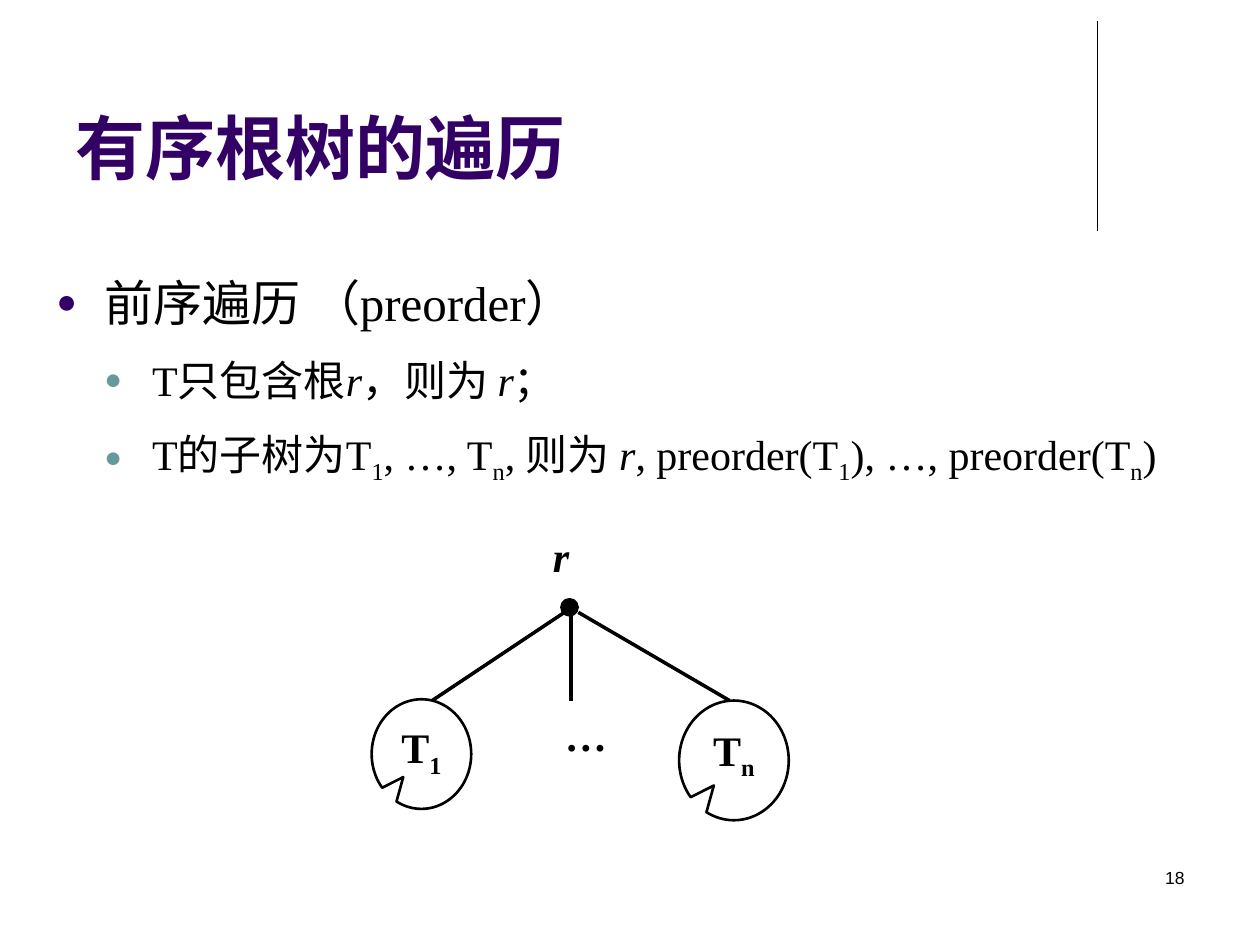
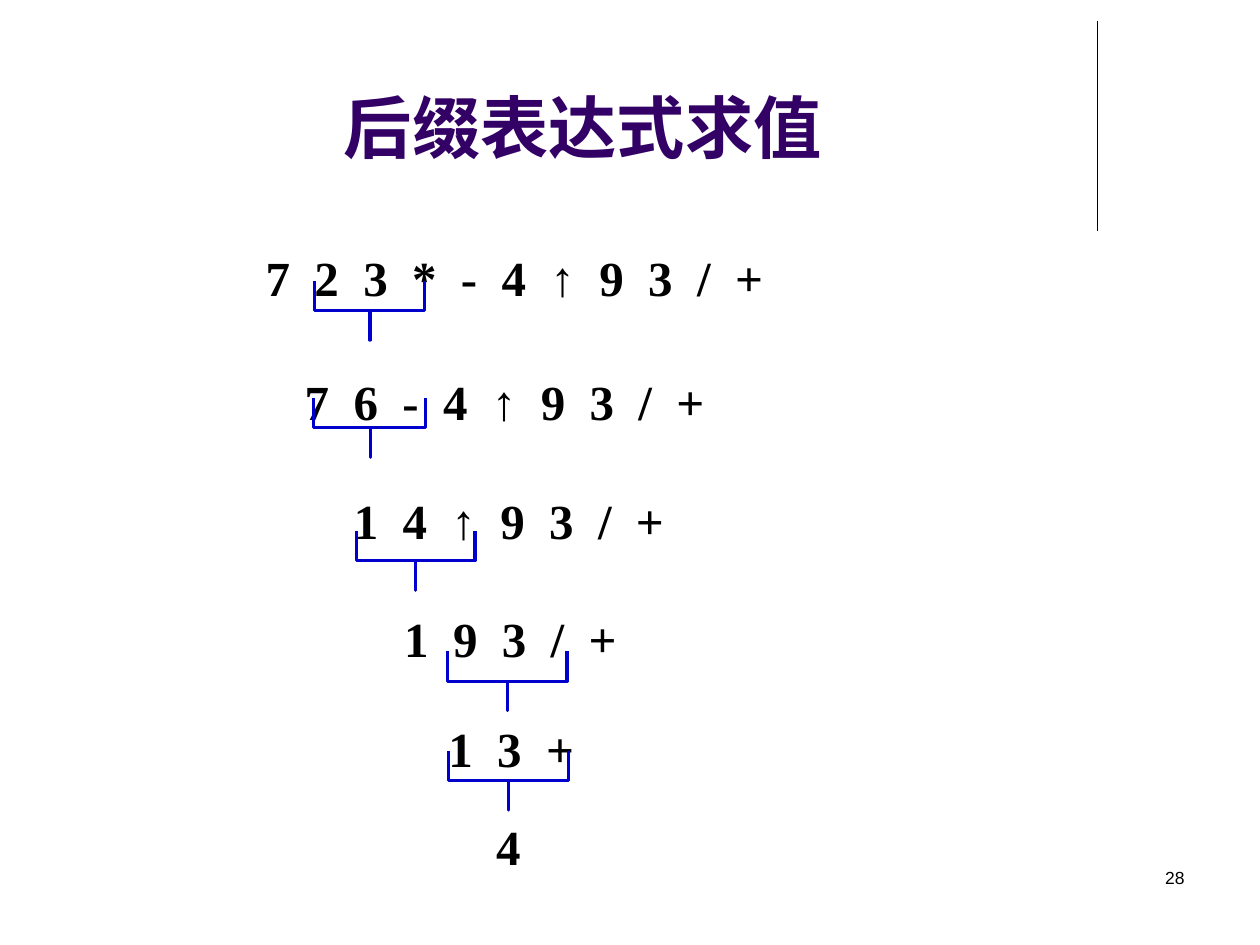
from dataclasses import dataclass

from lxml.etree import SubElement
from pptx import Presentation
from pptx.dml.color import RGBColor
from pptx.enum.shapes import MSO_CONNECTOR as Connector, MSO_SHAPE as Shape
from pptx.enum.text import MSO_ANCHOR as Anchor, MSO_AUTO_SIZE as AutoSize, PP_ALIGN as Align
from pptx.oxml.ns import qn
from pptx.util import Inches, Pt

# Grid: 100 columns by 75 rows
WIDTH, HEIGHT = Inches(10), Inches(7.5)
COLUMN, ROW = WIDTH / 100, HEIGHT / 75

BLACK, PURPLE, TEAL, BLUE = "000000", "330066", "669999", "0000CC"
SERIF, SANS = "Times New Roman", "Arial"


@dataclass
class Box:
    left: float
    top: float
    width: float
    height: float

    def inside(self, left, top, width, height):
        return Box(self.left + left, self.top + top, width, height)

    def lengths(self):
        return (round(self.left * COLUMN), round(self.top * ROW),
                round(self.width * COLUMN), round(self.height * ROW))


def color(hex_string):
    return RGBColor.from_string(hex_string)


def add_run(paragraph, text, size, font=SERIF, fill=BLACK, bold=False, italic=False, sub=False):
    run = paragraph.add_run()
    run.text = text
    run.font.size, run.font.name = Pt(size), font
    run.font.bold, run.font.italic = bold, italic
    run.font.color.rgb = color(fill)
    if sub:
        run.font._element.set("baseline", "-25000")
    return run


def add_text_box(slide, box):
    frame = slide.shapes.add_textbox(*box.lengths()).text_frame
    frame.word_wrap = True
    return frame


def add_line(slide, box, start, end, weight):
    (x1, y1), (x2, y2) = (box.inside(*point, 0, 0).lengths()[:2] for point in (start, end))
    line = slide.shapes.add_connector(Connector.STRAIGHT, x1, y1, x2, y2)
    line.line.color.rgb, line.line.width = color(BLACK), Pt(weight)
    SubElement(line._element.spPr, qn("a:effectLst"))


def add_outline(slide, kind, box, weight, line=BLACK, fill=None, adjustments=()):
    shape = slide.shapes.add_shape(kind, *box.lengths())
    shape.shadow.inherit = False
    for index, value in enumerate(adjustments):
        shape.adjustments[index] = value
    if fill:
        shape.fill.solid()
        shape.fill.fore_color.rgb = color(fill)
    else:
        shape.fill.background()
    if weight:
        shape.line.color.rgb, shape.line.width = color(line), Pt(weight)
    else:
        shape.line.fill.background()
    return shape


def add_base_slide(presentation, title, box, number, size, font, align):
    """Title, divider line and page number shared by both slides."""
    slide = presentation.slides.add_slide(presentation.slide_layouts[5])
    page = Box(0, 0, 100, 75)
    add_line(slide, page, (87.1, 1.7), (87.1, 18.3), 0.75)

    placeholder = slide.shapes.title
    placeholder.left, placeholder.top, placeholder.width, placeholder.height = box.lengths()
    frame = placeholder.text_frame
    frame.auto_size, frame.vertical_anchor = AutoSize.NONE, Anchor.BOTTOM
    frame.paragraphs[0].alignment = align
    add_run(frame.paragraphs[0], title, size, font, PURPLE, bold=True)

    footer = add_text_box(slide, page.inside(71.7, 68.3, 23.3, 5)).paragraphs[0]
    footer.alignment = Align.RIGHT
    add_run(footer, number, 10, SANS)
    return slide


def add_bullet(paragraph, level, fill):
    paragraph.level = level
    properties = paragraph._p.get_or_add_pPr()
    properties.set("marL", str(Inches(0.38 * (level + 1))))
    properties.set("indent", str(-Inches(0.38)))
    bullet_color = SubElement(properties, qn("a:buClr"))
    SubElement(bullet_color, qn("a:srgbClr"), val=fill)
    SubElement(properties, qn("a:buSzPct"), val="70000")
    SubElement(properties, qn("a:buFont"), typeface=SANS)
    SubElement(properties, qn("a:buChar"), char="●")


def add_definition(slide, box):
    """Bulleted definition of the preorder traversal."""
    plain, italic, sub = {}, {"italic": True}, {"sub": True}
    lines = [
        (0, 28, PURPLE, [("前序遍历 （preorder）", plain)]),
        (1, 24, TEAL, [("T只包含根", plain), ("r", italic), ("，则为 ", plain),
                       ("r", italic), ("；", plain)]),
        (1, 24, TEAL, [("T的子树为T", plain), ("1", sub), (", …, T", plain), ("n", sub),
                       (", 则为 ", plain), ("r", italic), (", preorder(T", plain), ("1", sub),
                       ("), …, preorder(T", plain), ("n", sub), (")", plain)]),
    ]
    frame = add_text_box(slide, box)
    for index, (level, size, fill, runs) in enumerate(lines):
        paragraph = frame.add_paragraph() if index else frame.paragraphs[0]
        paragraph.line_spacing, paragraph.space_before = 1.2, Pt(0.3 * size)
        add_bullet(paragraph, level, fill)
        for text, style in runs:
            add_run(paragraph, text, size, **style)


def add_subtree(slide, box, name, index, weight):
    bubble = add_outline(slide, Shape.OVAL_CALLOUT, box, weight, adjustments=(-0.183, 0.21))
    frame = bubble.text_frame
    frame.word_wrap, frame.vertical_anchor = False, Anchor.TOP
    paragraph = frame.paragraphs[0]
    paragraph.alignment = Align.CENTER
    add_run(paragraph, name, 24, bold=True)
    if index:
        add_run(paragraph, index, 24, bold=True, sub=True)


def add_tree(slide, box):
    """Root r with edges to the subtrees T1 … Tn."""
    add_outline(slide, Shape.OVAL, box.inside(15.1, 6, 1.2, 1.2), 2, fill=BLACK)
    for start, end in [((15.3, 7), (4.8, 14)), ((16.4, 7), (28.4, 14)), ((15.8, 6.1), (15.8, 14))]:
        add_line(slide, box, start, end, 2)
    root = add_text_box(slide, box.inside(13.4, 0, 5.9, 5.1)).paragraphs[0]
    add_run(root, "r", 24, bold=True, italic=True)
    add_subtree(slide, box.inside(0, 13.9, 7.9, 8.7), "T", "1", 1.5)
    add_subtree(slide, box.inside(24.4, 14, 8.7, 9.5), "T", "n", 1.5)
    add_subtree(slide, box.inside(11.1, 13.2, 11.8, 7.1), "…", "", 0)


def add_step(slide, box, expression, brace):
    """One expression, with a brace under the part evaluated next."""
    paragraph = add_text_box(slide, box).paragraphs[0]
    paragraph.line_spacing, paragraph.space_before = 1.2, Pt(5.6)
    run = add_run(paragraph, expression, 28, bold=True)
    run.font._element.set("spc", "350")
    if brace:
        center, middle, span = brace
        depth = 4.7
        upright = box.inside(center - depth / 2, middle - span / 2, depth, span)
        shape = add_outline(slide, Shape.LEFT_BRACE, upright, 1.75, BLUE, adjustments=(0, 0.502))
        shape.rotation = 270


def add_evaluation(slide, box):
    # Left and top in the region, expression, brace (centre, middle, span)
    steps = [
        (0, 0, "7 2 3 * - 4 ↑ 9 3 / +", (9.25, 6.45, 8.7)),
        (3.1, 9.9, "7 6 - 4 ↑ 9 3 / +", (6.15, 5.85, 8.9)),
        (7, 19.3, "1 4 ↑ 9 3 / +", (5.9, 7, 9.4)),
        (11, 28.7, "1 9 3 / +", (9.15, 7.15, 9.5)),
        (14.5, 37.4, "1 3 +", (5.75, 6.35, 9.5)),
        (18.3, 45.2, "4", None),
    ]
    for left, top, expression, brace in steps:
        add_step(slide, box.inside(left, top, box.width - left, 6.3), expression, brace)


def main():
    presentation = Presentation()
    presentation.slide_width, presentation.slide_height = WIDTH, HEIGHT

    traversal = add_base_slide(presentation, "有序根树的遍历", Box(5, 6, 82.5, 9.5),
                               "18", 40, SERIF, Align.LEFT)
    add_definition(traversal, Box(3.5, 20.2, 93.7, 22.8))
    add_tree(traversal, Box(29.5, 41.6, 33.1, 23.5))

    postfix = add_base_slide(presentation, "后缀表达式求值", Box(5, 1.3, 82.5, 12.5),
                             "28", 39, SANS, Align.CENTER)
    add_evaluation(postfix, Box(20.1, 18.2, 50, 51.5))

    presentation.save("out.pptx")


if __name__ == "__main__":
    main()
